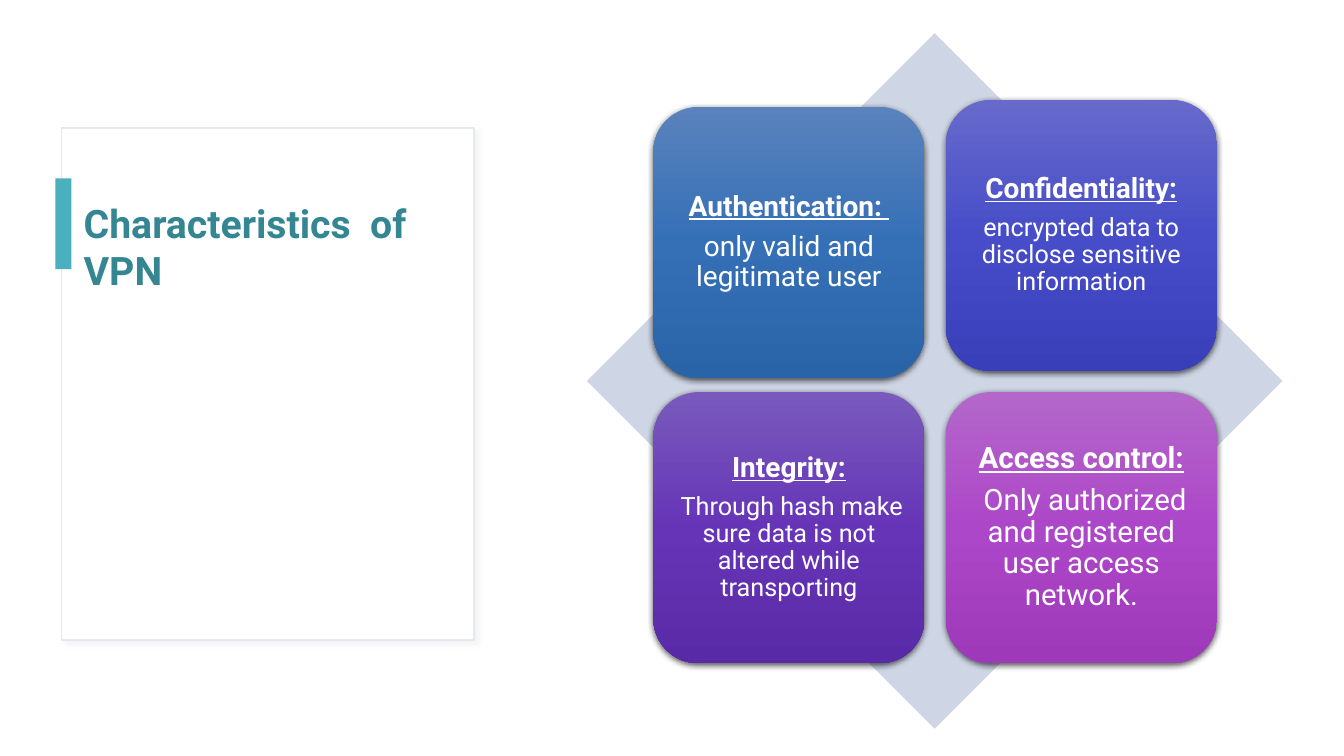
import copy

import pptx
import pptx.dml.color
import pptx.enum.shapes
import pptx.enum.text
import pptx.oxml
import pptx.oxml.ns
import pptx.util

Inches = pptx.util.Inches
Pt = pptx.util.Pt
RGBColor = pptx.dml.color.RGBColor
MSO_SHAPE = pptx.enum.shapes.MSO_SHAPE

WHITE = RGBColor(0xFF, 0xFF, 0xFF)
PANEL_LINE = RGBColor(0xE4, 0xE9, 0xEF)
ACCENT = RGBColor(0x4A, 0xAF, 0xBE)
TITLE_COLOR = RGBColor(0x34, 0x86, 0x92)
DIAMOND = RGBColor(0xCE, 0xD5, 0xE4)
BLUES = [RGBColor(0x5A, 0x82, 0xBC), RGBColor(0x35, 0x70, 0xB7), RGBColor(0x2A, 0x64, 0xA8)]
INDIGOS = [RGBColor(0x67, 0x6A, 0xCA), RGBColor(0x47, 0x4D, 0xC9), RGBColor(0x39, 0x3E, 0xB9)]
VIOLETS = [RGBColor(0x79, 0x5A, 0xBC), RGBColor(0x66, 0x35, 0xB7), RGBColor(0x59, 0x2A, 0xA8)]
MAGENTAS = [RGBColor(0xB3, 0x67, 0xCA), RGBColor(0xAD, 0x47, 0xC9), RGBColor(0x9E, 0x39, 0xB9)]
FONT = "Roboto"

# Tile grid, in inches
GRID_LEFT, GRID_TOP = 6.48, 1.06
COLUMN_STEP, ROW_STEP, TILE = 2.9, 2.83, 2.69

presentation = pptx.Presentation()
presentation.slide_width = Inches(13.33)
presentation.slide_height = Inches(7.5)
slide = presentation.slides.add_slide(presentation.slide_layouts[5])


def add_block(kind, left, top, width, height, color=None):
    """Add a preset shape without line or shadow, filled if a colour is given."""
    shape = slide.shapes.add_shape(kind, Inches(left), Inches(top), Inches(width), Inches(height))
    shape.shadow.inherit = False
    shape.line.fill.background()
    if color is not None:
        shape.fill.solid()
        shape.fill.fore_color.rgb = color
    return shape


def add_shadow(shape, color, opacity, blur, distance, angle):
    """Give the shape an outer shadow: opacity in percent, lengths in points."""
    effects = shape.element.spPr.find(pptx.oxml.ns.qn("a:effectLst"))
    effects.append(pptx.oxml.parse_xml(
        f'<a:outerShdw {pptx.oxml.ns.nsdecls("a")} blurRad="{Pt(blur)}" dist="{Pt(distance)}" '
        f'dir="{angle * 60000}" algn="ctr" rotWithShape="0"><a:srgbClr val="{color}">'
        f'<a:alpha val="{opacity * 1000}"/></a:srgbClr></a:outerShdw>'))


# Title panel
panel = add_block(MSO_SHAPE.RECTANGLE, 0.61, 1.27, 4.09, 5.08, WHITE)
panel.line.color.rgb = PANEL_LINE
panel.line.width = Pt(1)
add_shadow(panel, "D9D9D9", 30, 4, 3, 45)
add_block(MSO_SHAPE.RECTANGLE, 0.55, 1.77, 0.16, 0.9, ACCENT)

title = slide.shapes.title
slide.shapes.element.append(title.element)  # bring in front of the panel
title.left, title.top = Inches(0.73), Inches(1.45)
title.width, title.height = Inches(4.21), Inches(1.99)
title.text_frame.auto_size = pptx.enum.text.MSO_AUTO_SIZE.NONE
title.text_frame.word_wrap = True
title.text_frame.vertical_anchor = pptx.enum.text.MSO_ANCHOR.MIDDLE
paragraph = title.text_frame.paragraphs[0]
paragraph.alignment = pptx.enum.text.PP_ALIGN.LEFT
run = paragraph.add_run()
run.text = "Characteristics  of VPN"
run.font.name, run.font.size, run.font.bold = FONT, Pt(28), True
run.font.color.rgb = TITLE_COLOR

# Diamond with four tiles: column, row, lift, gradient, inset, heading, text
add_block(MSO_SHAPE.DIAMOND, 5.82, 0.33, 6.9, 6.9, DIAMOND)
tiles = [
    (0, 0, 0, BLUES, 0.08, ("Authentication: ", 20), ("only valid and legitimate user", 20)),
    (1, 0, 0.07, INDIGOS, 0.08, ("Confidentiality:", 20),
     ("encrypted data to disclose sensitive information", 18)),
    (0, 1, 0, VIOLETS, 0.08, ("Integrity:", 20),
     (" Through hash make sure data is not altered while transporting", 18)),
    (1, 1, 0, MAGENTAS, 0.09, ("Access control:", 21),
     (" Only authorized and registered user access network.", 21)),
]
for column, row, lift, colors, inset, heading, body in tiles:
    tile = add_block(MSO_SHAPE.ROUNDED_RECTANGLE, GRID_LEFT + column * COLUMN_STEP,
                     GRID_TOP + row * ROW_STEP - lift, TILE, TILE)
    tile.fill.gradient()
    tile.fill.gradient_angle = 270
    stop_list = tile.element.spPr.find(".//" + pptx.oxml.ns.qn("a:gsLst"))
    stop_list.insert(1, copy.deepcopy(stop_list[0]))
    for index, color in enumerate(colors):
        stop = tile.fill.gradient_stops[index]
        stop.position = index / 2
        stop.color.rgb = color
    add_shadow(tile, "000000", 63, 4.5, 1.5, 90)

    frame = tile.text_frame
    frame.word_wrap = True
    frame.vertical_anchor = pptx.enum.text.MSO_ANCHOR.MIDDLE
    frame.margin_left = frame.margin_right = Inches(inset)
    frame.margin_top = frame.margin_bottom = Inches(inset)
    for paragraph, (text, size), is_heading in (
            (frame.paragraphs[0], heading, True), (frame.add_paragraph(), body, False)):
        paragraph.alignment = pptx.enum.text.PP_ALIGN.CENTER
        paragraph.line_spacing = 0.9
        paragraph.space_after = Pt(7)
        run = paragraph.add_run()
        run.text = text
        run.font.name, run.font.size = FONT, Pt(size)
        run.font.bold = run.font.underline = is_heading
        run.font.color.rgb = WHITE

presentation.save("out.pptx")
